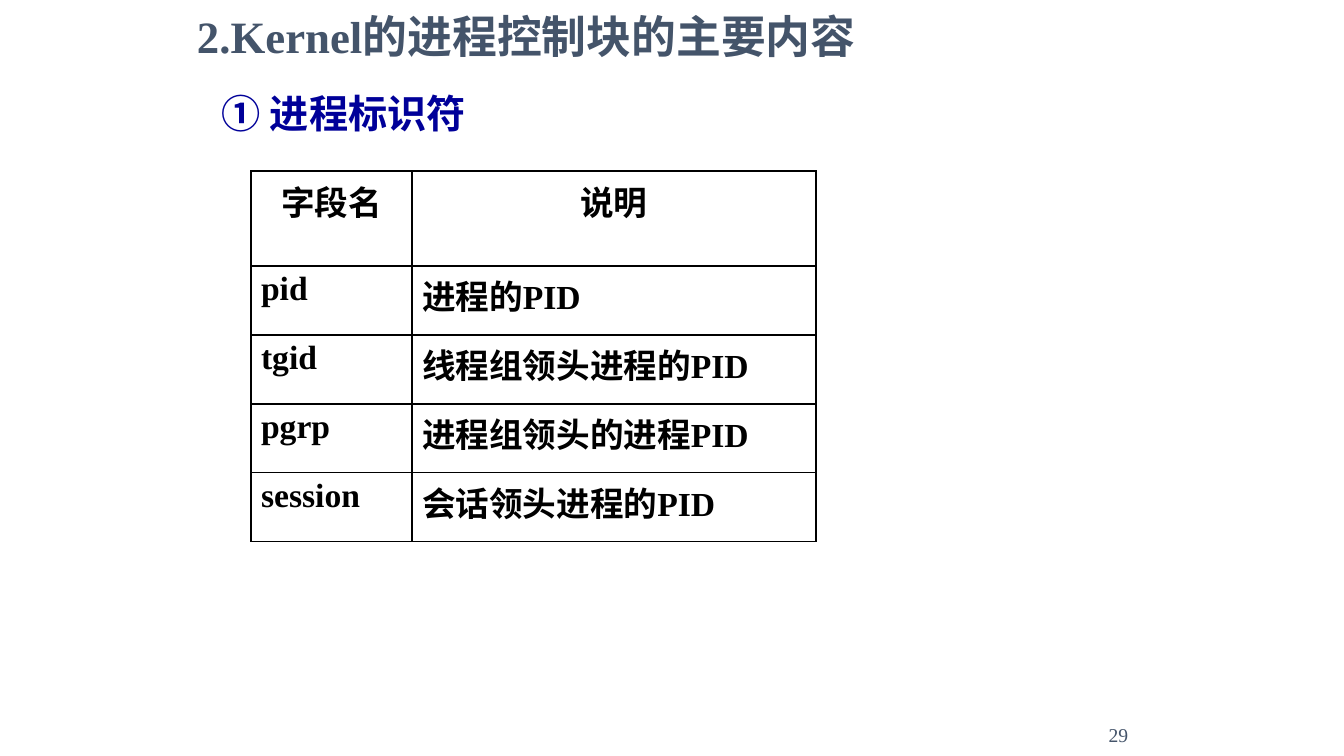
import pptx
import pptx.dml.color
import pptx.enum.text
import pptx.oxml.ns
import pptx.util
import lxml.etree

SLATE = pptx.dml.color.RGBColor(0x44, 0x54, 0x6A)
NAVY = pptx.dml.color.RGBColor(0x00, 0x00, 0x99)
BLACK = pptx.dml.color.RGBColor(0x00, 0x00, 0x00)
LATIN_FONT = "Times New Roman"
CHINESE_FONT = "Noto Sans CJK SC"
CENTER = pptx.enum.text.PP_ALIGN.CENTER
LEFT = pptx.enum.text.PP_ALIGN.LEFT

FIELDS = [
    ("字段名", "说明"),
    ("pid", "进程的PID"),
    ("tgid", "线程组领头进程的PID"),
    ("pgrp", "进程组领头的进程PID"),
    ("session", "会话领头进程的PID"),
]
COLUMN_WIDTHS = (161, 404)
HEADER_HEIGHT, ROW_HEIGHT = 95, 69


def px(length):
    """Turn pixels, 100.8 to the inch, into EMU."""
    return pptx.util.Emu(round(length * 914400 / 100.8))


def style_span(span, size, color, bold=True, font=LATIN_FONT):
    """Set the fonts, size and colour of one run."""
    span.font.name = font
    span.font.size = pptx.util.Pt(size)
    span.font.bold = bold
    span.font.color.rgb = color
    east_asian = lxml.etree.Element(pptx.oxml.ns.qn("a:ea"), typeface=CHINESE_FONT)
    span.font._element.find(pptx.oxml.ns.qn("a:latin")).addnext(east_asian)


def add_text(page, box, texts):
    """Add a text box and return its paragraph with one run per text."""
    frame = page.shapes.add_textbox(*map(px, box)).text_frame
    frame.word_wrap = True
    para = frame.paragraphs[0]
    for text in texts:
        para.add_run().text = text
    return para


def add_title(page, box):
    """Add the slide title."""
    para = add_text(page, box, ["2.Kernel的进程控制块的主要内容"])
    para.line_spacing = 0.9
    style_span(para.runs[0], 32, SLATE)


def add_subtitle(page, box):
    """Add the numbered heading above the table."""
    number, heading = add_text(page, box, ["① ", "进程标识符"]).runs
    style_span(number, 28, NAVY, font=CHINESE_FONT)
    style_span(heading, 28, NAVY)


def add_page_number(page, box):
    """Add the centred page number."""
    para = add_text(page, box, ["29"])
    para.alignment = CENTER
    style_span(para.runs[0], 14, SLATE, bold=False)


def border_cell(cell):
    """Draw a thin black line on all four sides of a cell."""
    properties = cell._tc.get_or_add_tcPr()
    for index, side in enumerate(("a:lnL", "a:lnR", "a:lnT", "a:lnB")):
        line = lxml.etree.Element(pptx.oxml.ns.qn(side), w=str(pptx.util.Pt(1)))
        fill = lxml.etree.SubElement(line, pptx.oxml.ns.qn("a:solidFill"))
        lxml.etree.SubElement(fill, pptx.oxml.ns.qn("a:srgbClr"), val=str(BLACK))
        properties.insert(index, line)


def add_field_table(page, box):
    """Add the table of identifier fields and their meanings."""
    frame = page.shapes.add_table(len(FIELDS), len(COLUMN_WIDTHS), *map(px, box))
    table = frame.table
    table.first_row = table.horz_banding = False
    for column, width in zip(table.columns, COLUMN_WIDTHS):
        column.width = px(width)
    for row_index, texts in enumerate(FIELDS):
        is_header = row_index == 0
        table.rows[row_index].height = px(HEADER_HEIGHT if is_header else ROW_HEIGHT)
        for column_index, text in enumerate(texts):
            cell = table.cell(row_index, column_index)
            cell.fill.background()
            border_cell(cell)
            para = cell.text_frame.paragraphs[0]
            para.text = text
            para.alignment = CENTER if is_header else LEFT
            style_span(para.runs[0], 24, BLACK)


def build_slide(deck):
    """Place all regions on one blank page."""
    page = deck.slides.add_slide(deck.slide_layouts[6])
    add_page_number(page, (1083, 718, 71, 34))
    add_subtitle(page, (212, 84, 794, 57))
    table_height = HEADER_HEIGHT + ROW_HEIGHT * (len(FIELDS) - 1)
    add_field_table(page, (251, 171, sum(COLUMN_WIDTHS), table_height))
    add_title(page, (187, 10, 707, 59))


deck = pptx.Presentation()
deck.slide_width, deck.slide_height = px(1344), px(756)
build_slide(deck)
deck.save("out.pptx")
